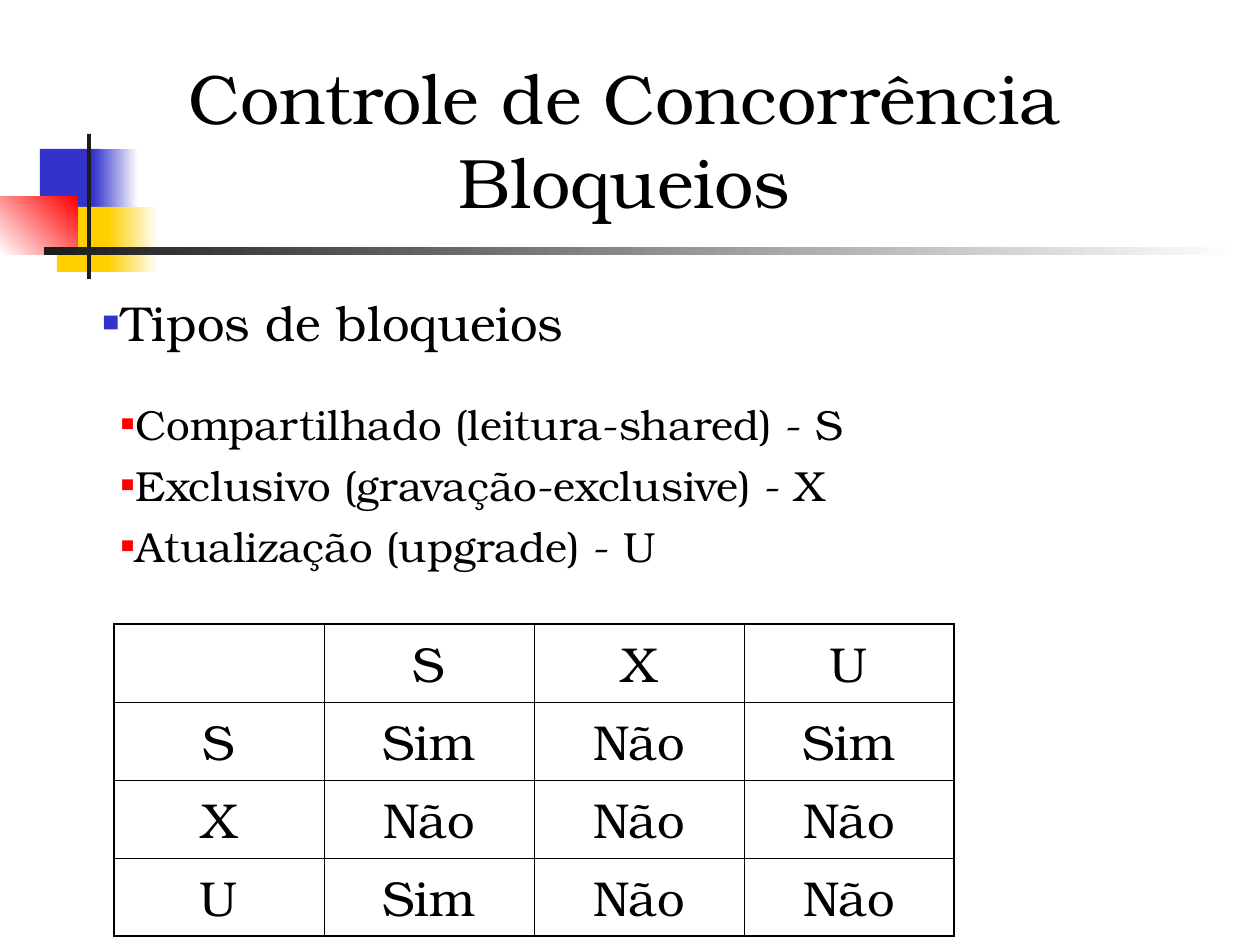
import pptx
import pptx.dml.color
import pptx.enum.shapes
import pptx.enum.text
import pptx.oxml.ns
import pptx.util
from lxml import etree

RGBColor = pptx.dml.color.RGBColor
BLACK = RGBColor(0x00, 0x00, 0x00)
WHITE = RGBColor(0xFF, 0xFF, 0xFF)
CHARCOAL = RGBColor(0x1C, 0x1C, 0x1C)
BLUE = RGBColor(0x33, 0x33, 0xCC)
YELLOW = RGBColor(0xFF, 0xCF, 0x01)
RED = RGBColor(0xFF, 0x00, 0x00)

FONT = "TeX Gyre Bonum"
EMU_PER_PX = 914400 / 126
CENTER = pptx.enum.text.PP_ALIGN.CENTER
LEFT = pptx.enum.text.PP_ALIGN.LEFT

LOCK_TYPES = [
    "Compartilhado (leitura-shared) - S",
    "Exclusivo (gravação-exclusive) - X",
    "Atualização (upgrade) - U",
]
COMPATIBILITY = [
    ["", "S", "X", "U"],
    ["S", "Sim", "Não", "Sim"],
    ["X", "Não", "Não", "Não"],
    ["U", "Sim", "Não", "Não"],
]


def px(length):
    return pptx.util.Emu(round(length * EMU_PER_PX))


def add_child(parent, tag, **attributes):
    child = etree.SubElement(parent, pptx.oxml.ns.qn(tag))
    for key, value in attributes.items():
        child.set(key, str(value))
    return child


def add_block(slide, box, color, fade_to=None, angle=0):
    """Add a borderless rectangle, solid or fading from color to fade_to."""
    block = slide.shapes.add_shape(
        pptx.enum.shapes.MSO_SHAPE.RECTANGLE, *map(px, box))
    block.shadow.inherit = False
    block.line.fill.background()
    if fade_to is None:
        block.fill.solid()
        block.fill.fore_color.rgb = color
    else:
        block.fill.gradient()
        block.fill.gradient_angle = angle
        for stop, stop_color in zip(block.fill.gradient_stops, (color, fade_to)):
            stop.color.rgb = stop_color


def add_text_frame(slide, box, anchor):
    frame = slide.shapes.add_textbox(*map(px, box)).text_frame
    frame.word_wrap = True
    frame.vertical_anchor = anchor
    return frame


def write(paragraph, text, size, align=LEFT, space_before=0):
    paragraph.text = text
    paragraph.alignment = align
    paragraph.space_before = pptx.util.Pt(space_before)
    for run in paragraph.runs:
        run.font.name = FONT
        run.font.size = pptx.util.Pt(size)
        run.font.color.rgb = BLACK


def add_bullet(paragraph, color, percent, margin, indent):
    properties = paragraph._p.get_or_add_pPr()
    properties.set("marL", str(px(margin)))
    properties.set("indent", str(px(indent)))
    bullet_color = add_child(properties, "a:buClr")
    add_child(bullet_color, "a:srgbClr", val=color)
    add_child(properties, "a:buSzPct", val=percent * 1000)
    add_child(properties, "a:buFont", typeface=FONT)
    add_child(properties, "a:buChar", char="■")


def set_borders(cell, widths):
    """Draw black cell borders; widths maps L, R, T and B to points."""
    properties = cell._tc.get_or_add_tcPr()
    for position, side in enumerate("LRTB"):
        line = add_child(properties, f"a:ln{side}",
                         w=pptx.util.Pt(widths[side]))
        fill = add_child(line, "a:solidFill")
        add_child(fill, "a:srgbClr", val=BLACK)
        properties.insert(position, line)


def add_matrix(slide, left, top, column_width, row_height, rows):
    last_row, last_column = len(rows) - 1, len(rows[0]) - 1
    matrix = slide.shapes.add_table(
        len(rows), len(rows[0]), px(left), px(top),
        px(column_width * len(rows[0])), px(row_height * len(rows))).table
    matrix.first_row = False
    matrix.horz_banding = False
    for column in matrix.columns:
        column.width = px(column_width)
    for r, row in enumerate(rows):
        matrix.rows[r].height = px(row_height)
        for c, text in enumerate(row):
            cell = matrix.cell(r, c)
            cell.fill.background()
            cell.vertical_anchor = pptx.enum.text.MSO_ANCHOR.MIDDLE
            write(cell.text_frame.paragraphs[0], text, size=28, align=CENTER)
            outer = {"L": c == 0, "R": c == last_column,
                     "T": r == 0, "B": r == last_row}
            set_borders(cell, {side: 1.08 if edge else 0.45
                               for side, edge in outer.items()})


def add_ornament(slide):
    add_block(slide, (40, 149, 60, 65), BLUE)
    add_block(slide, (93, 149, 45, 65), BLUE, fade_to=WHITE)
    add_block(slide, (57, 207, 58, 65), YELLOW)
    add_block(slide, (108, 207, 50, 65), YELLOW, fade_to=WHITE)
    add_block(slide, (0, 197, 78, 58), WHITE, fade_to=RED, angle=45)
    add_block(slide, (87, 134, 4, 145), CHARCOAL)
    add_block(slide, (44, 247, 1198, 8), CHARCOAL, fade_to=WHITE)


def add_lock_list(slide):
    frame = add_text_frame(slide, (34, 286, 1191, 300),
                           pptx.enum.text.MSO_ANCHOR.TOP)
    heading = frame.paragraphs[0]
    write(heading, "Tipos de bloqueios", size=28)
    add_bullet(heading, BLUE, percent=60, margin=0, indent=54)
    for number, lock_type in enumerate(LOCK_TYPES):
        item = frame.add_paragraph()
        item.level = 1
        write(item, lock_type, size=24, space_before=6 if number else 27)
        add_bullet(item, RED, percent=55, margin=48, indent=25)


def main():
    presentation = pptx.Presentation()
    presentation.slide_width = px(1260)
    presentation.slide_height = px(945)
    slide = presentation.slides.add_slide(presentation.slide_layouts[6])

    add_ornament(slide)
    title = add_text_frame(slide, (34, 28, 1181, 201),
                           pptx.enum.text.MSO_ANCHOR.BOTTOM)
    write(title.paragraphs[0], "Controle de Concorrência\vBloqueios",
          size=40, align=CENTER)
    add_lock_list(slide)
    add_matrix(slide, left=114, top=624, column_width=210, row_height=78,
               rows=COMPATIBILITY)
    presentation.save("out.pptx")


if __name__ == "__main__":
    main()
